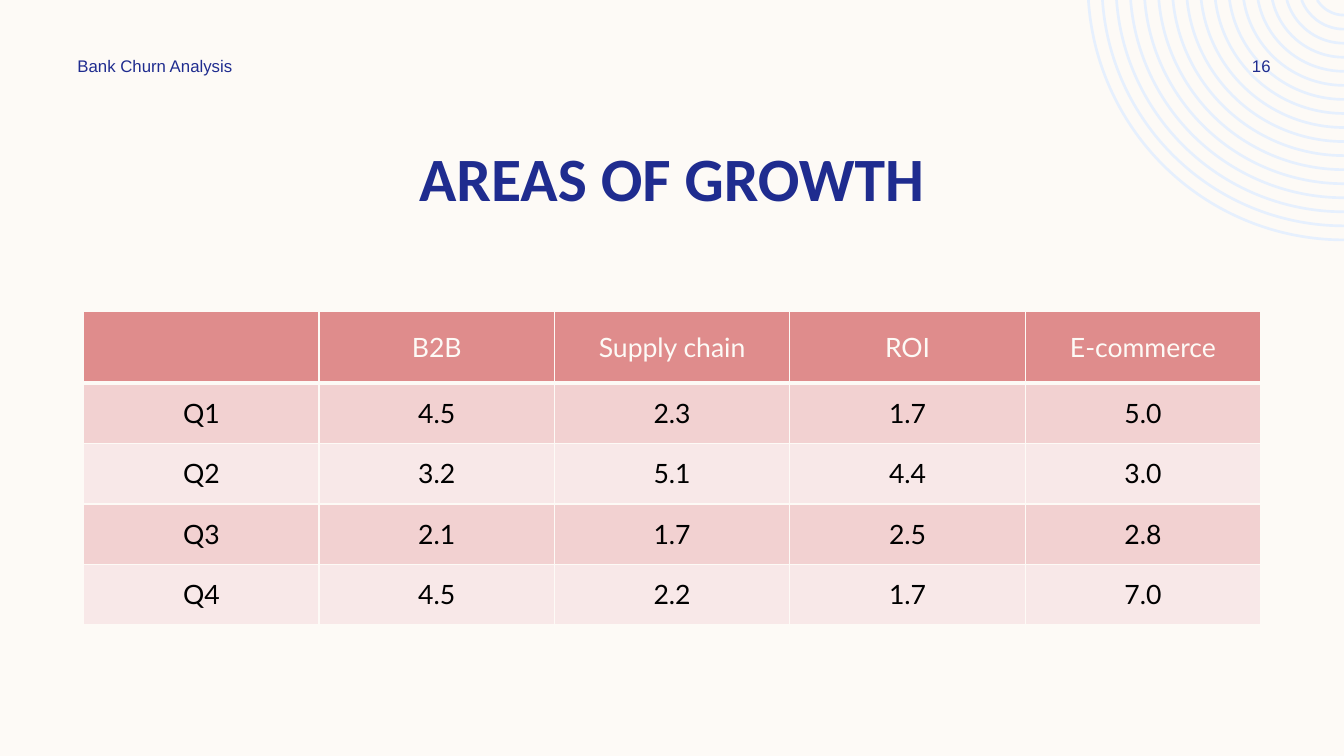
import math

from lxml import etree
from pptx import Presentation
from pptx.dml.color import RGBColor
from pptx.enum import text
from pptx.oxml import ns
from pptx.util import Inches, Pt

# Content
TITLE = "AREAS OF GROWTH"
SECTION = "Bank Churn Analysis"
PAGE = "16"
GROWTH = [
    ("", "B2B", "Supply chain", "ROI", "E-commerce"),
    ("Q1", "4.5", "2.3", "1.7", "5.0"),
    ("Q2", "3.2", "5.1", "4.4", "3.0"),
    ("Q3", "2.1", "1.7", "2.5", "2.8"),
    ("Q4", "4.5", "2.2", "1.7", "7.0"),
]

# Colours
CREAM = RGBColor(0xFD, 0xFA, 0xF6)
NAVY = RGBColor(0x1F, 0x2C, 0x8F)
PALE_BLUE = RGBColor(0xE6, 0xF0, 0xFE)
ROSE = RGBColor(0xDF, 0x8C, 0x8C)
PINK = RGBColor(0xF2, 0xD1, 0xD1)
PALE_PINK = RGBColor(0xF8, 0xE8, 0xE8)
BLACK = RGBColor(0, 0, 0)

# Sizes
SLIDE_W, SLIDE_H = 13.33, 7.5
RINGS, INNER_R, OUTER_R = 17, 0.31, 2.54
CENTRE_Y = -0.16
COLUMN_W, HEADER_H, ROW_H = 2.335, 0.71, 0.6


def write(frame, words, size, font, colour, align, bold=False):
    paragraph = frame.paragraphs[0]
    paragraph.alignment = align
    run = paragraph.add_run()
    run.text = words
    run.font.size = Pt(size)
    run.font.name = font
    run.font.bold = bold
    run.font.color.rgb = colour


def reach(radius):
    """How far along the top edge a ring starts from the right corner."""
    return math.sqrt(radius ** 2 - CENTRE_Y ** 2)


def add_arc(outline, radius):
    """Arc from the slide's top edge round to its right edge."""
    move = etree.SubElement(outline, ns.qn("a:moveTo"))
    etree.SubElement(move, ns.qn("a:pt"), x=str(Inches(reach(OUTER_R) - reach(radius))), y="0")
    start = 180 - math.degrees(math.asin(-CENTRE_Y / radius))
    etree.SubElement(outline, ns.qn("a:arcTo"),
                     wR=str(Inches(radius)), hR=str(Inches(radius)),
                     stAng=str(round(start * 60000)),
                     swAng=str(round((90 - start) * 60000)))


def set_border(cell, side, width):
    line = etree.SubElement(cell._tc.get_or_add_tcPr(), ns.qn("a:" + side), w=str(Pt(width)))
    fill = etree.SubElement(line, ns.qn("a:solidFill"))
    etree.SubElement(fill, ns.qn("a:srgbClr"), val=str(CREAM))


def add_label(words, left, width, align):
    box = slide.shapes.add_textbox(Inches(left), Inches(0.5), Inches(width), Inches(0.3))
    box.text_frame.word_wrap = True
    box.text_frame.vertical_anchor = text.MSO_ANCHOR.MIDDLE
    write(box.text_frame, words, 12, "Arial", NAVY, align)


prs = Presentation()
prs.slide_width, prs.slide_height = Inches(SLIDE_W), Inches(SLIDE_H)
slide = prs.slides.add_slide(prs.slide_layouts[5])
slide.background.fill.solid()
slide.background.fill.fore_color.rgb = CREAM

# Corner rings: a freeform of the right extent, its outline redrawn as true arcs
builder = slide.shapes.build_freeform(Inches(SLIDE_W - reach(OUTER_R)), 0)
builder.add_line_segments([(Inches(SLIDE_W), Inches(CENTRE_Y + OUTER_R))], close=False)
rings = builder.convert_to_shape()
outline = rings._element.find(".//" + ns.qn("a:path"))
for segment in list(outline):
    outline.remove(segment)
pitch = (OUTER_R - INNER_R) / (RINGS - 1)
for ring in range(RINGS):
    add_arc(outline, OUTER_R - ring * pitch)
rings.shadow.inherit = False
rings.fill.background()
rings.line.color.rgb = PALE_BLUE
rings.line.width = Pt(1.9)

# Title
title = slide.shapes.title
title.left, title.top = Inches(0.83), Inches(1.33)
title.width, title.height = Inches(11.67), Inches(0.84)
title.text_frame.vertical_anchor = text.MSO_ANCHOR.MIDDLE
write(title.text_frame, TITLE, 44, "Calibri", NAVY, text.PP_ALIGN.CENTER, bold=True)

# Growth table
rows, columns = len(GROWTH), len(GROWTH[0])
growth = slide.shapes.add_table(
    rows, columns, Inches(0.83), Inches(3.09),
    Inches(COLUMN_W * columns), Inches(HEADER_H + ROW_H * (rows - 1))).table
for column in growth.columns:
    column.width = Inches(COLUMN_W)
for r, values in enumerate(GROWTH):
    growth.rows[r].height = Inches(ROW_H if r else HEADER_H)
    band = ROSE if r == 0 else (PALE_PINK, PINK)[r % 2]
    for c, value in enumerate(values):
        cell = growth.cell(r, c)
        cell.vertical_anchor = text.MSO_ANCHOR.MIDDLE
        cell.margin_left = cell.margin_right = Inches(0.11)
        cell.margin_top = cell.margin_bottom = Inches(0.05)
        for side in ("lnL", "lnR", "lnT", "lnB"):
            under_header = (r, side) in ((0, "lnB"), (1, "lnT"))
            set_border(cell, side, 3 if under_header else 1)
        cell.fill.solid()
        cell.fill.fore_color.rgb = band
        if value:
            write(cell.text_frame, value, 19, "Lato", BLACK if r else CREAM,
                  text.PP_ALIGN.CENTER)

# Page number and section name
add_label(PAGE, 11.97, 1.08, text.PP_ALIGN.CENTER)
add_label(SECTION, 0.67, 3.5, text.PP_ALIGN.LEFT)

prs.save("out.pptx")
